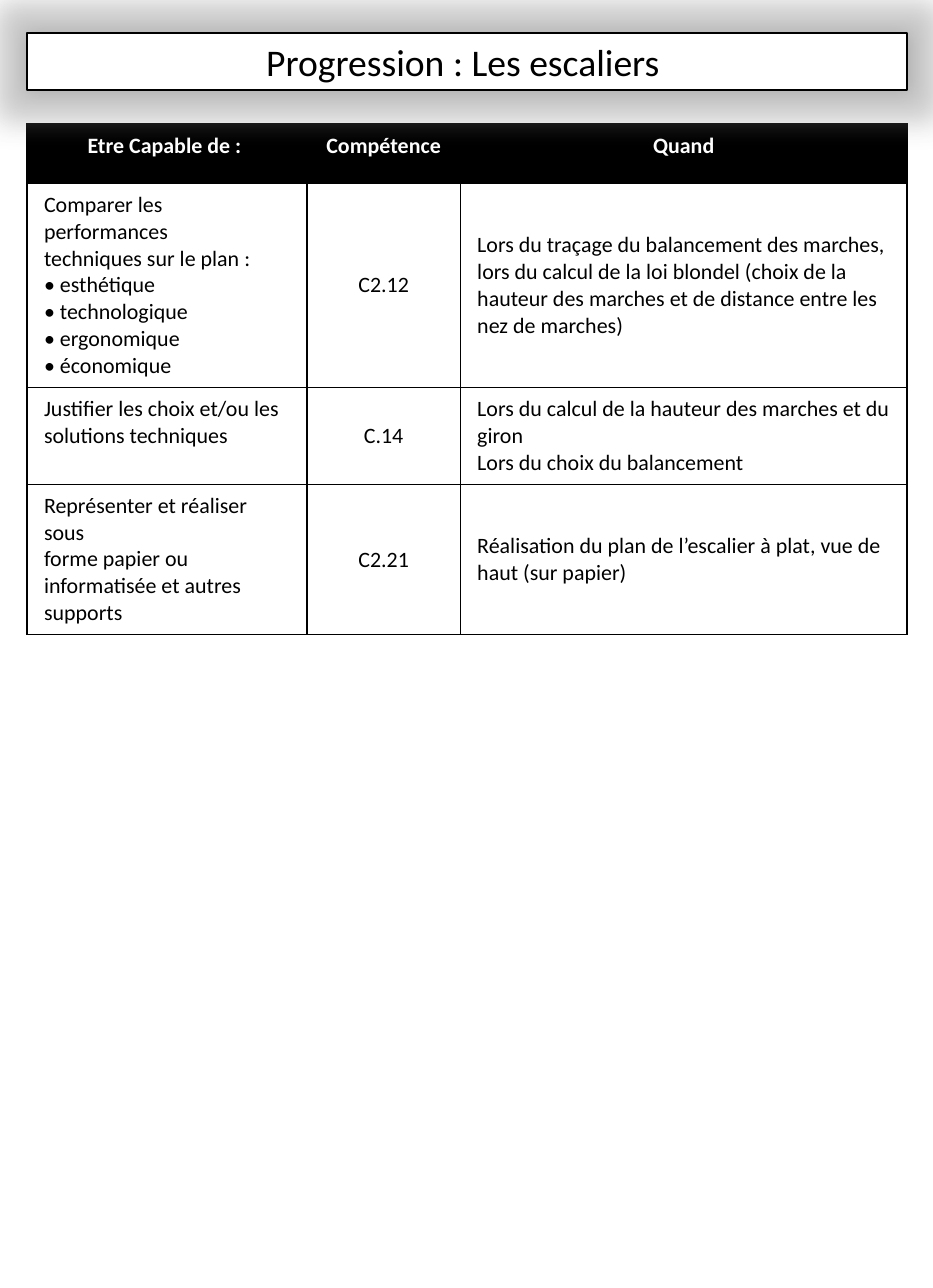
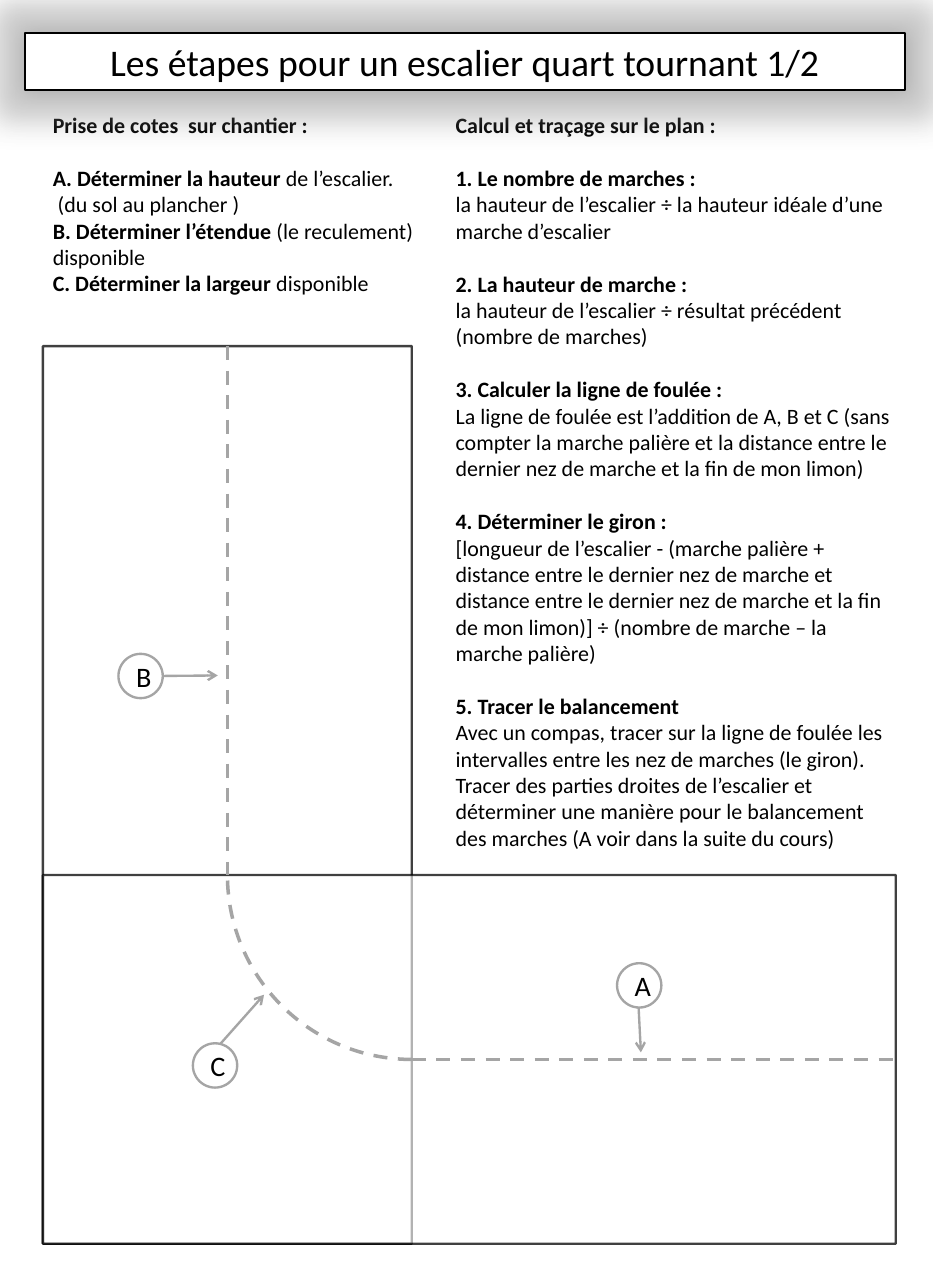
from dataclasses import dataclass

from lxml import etree
from pptx import Presentation
from pptx.dml.color import RGBColor as RGB
from pptx.enum.dml import MSO_LINE as DASH
from pptx.enum.shapes import MSO_CONNECTOR as LINE, MSO_SHAPE as SHAPE
from pptx.enum.text import MSO_ANCHOR as ANCHOR, PP_ALIGN as ALIGN
from pptx.oxml import parse_xml
from pptx.oxml.ns import nsdecls, qn
from pptx.util import Pt


@dataclass(frozen=True)
class Theme:
    font: str = "Calibri"
    black: RGB = RGB(0, 0, 0)
    white: RGB = RGB(255, 255, 255)
    grey: RGB = RGB(165, 165, 165)
    title: float = 24
    label: float = 18
    body: float = 14
    gap: float = 17


T = Theme()

EFFECTS = f"""<a:effectLst {nsdecls("a")}>
  <a:glow rad="{Pt(36)}"><a:srgbClr val="{T.grey}"><a:alpha val="40000"/></a:srgbClr></a:glow>
  <a:outerShdw blurRad="{Pt(12)}" algn="ctr" rotWithShape="0">
    <a:srgbClr val="{T.black}"><a:alpha val="30000"/></a:srgbClr></a:outerShdw>
</a:effectLst>"""


def write(tf, *groups, size=T.body, color=T.black, bold=False,
          align=ALIGN.LEFT, anchor=ANCHOR.TOP):
    """Fill a text frame with groups of paragraphs set apart by a gap; ** toggles bold."""
    tf.word_wrap = True
    tf.vertical_anchor = anchor
    p = None
    for g, group in enumerate(groups):
        for i, text in enumerate(group):
            p = tf.add_paragraph() if p else tf.paragraphs[0]
            p.alignment = align
            p.space_before = Pt(T.gap if g and not i else 0)
            for n, part in enumerate(text.split("**")):
                if part:
                    r = p.add_run()
                    r.text = part
                    r.font.name, r.font.size = T.font, Pt(size)
                    r.font.color.rgb = color
                    r.font.bold = bold or n % 2 == 1


def style_line(line, color, width, dash=None, arrow=False):
    line.color.rgb = color
    line.width = Pt(width)
    if dash:
        line.dash_style = dash
    if arrow:
        ln = line._get_or_add_ln()
        etree.SubElement(ln, qn("a:tailEnd"), type="arrow")


prs = Presentation()
prs.slide_width, prs.slide_height = Pt(595.4), Pt(822.2)

# Slides and their title bands
slides = []
for left, heading in [(17.3, "Progression : Les escaliers "),
                      (15.8, "Les étapes pour un escalier quart tournant 1/2")]:
    s = prs.slides.add_slide(prs.slide_layouts[5])
    title = s.shapes.title
    title.left, title.top, title.width, title.height = Pt(left), Pt(21), Pt(561.6), Pt(36.4)
    title.fill.solid()
    title.fill.fore_color.rgb = T.white
    style_line(title.line, T.black, 1)
    title.element.spPr.append(parse_xml(EFFECTS))
    write(title.text_frame, [heading], size=T.title, align=ALIGN.CENTER, anchor=ANCHOR.MIDDLE)
    slides.append(s)
progression, steps = slides

# Slide 1: skills table
rows = [
    (["Etre Capable de : "], ["Compétence"], ["Quand"]),
    (["Comparer les performances", "techniques sur le plan :", "• esthétique",
      "• technologique", "• ergonomique", "• économique"],
     ["C2.12"],
     ["Lors du traçage du balancement des marches, lors du calcul de la loi blondel "
      "(choix de la hauteur des marches et de distance entre les nez de marches)"]),
    (["Justifier les choix et/ou les", "solutions techniques"],
     ["C.14"],
     ["Lors du calcul de la hauteur des marches et du giron", "Lors du choix du balancement"]),
    (["Représenter et réaliser sous", "forme papier ou", "informatisée et autres", "supports"],
     ["C2.21"],
     ["Réalisation du plan de l’escalier à plat, vue de haut (sur papier)"]),
]
table = progression.shapes.add_table(4, 3, Pt(17.3), Pt(79.2), Pt(561.6), Pt(323.3)).table
table.horz_banding = False
for col, width in zip(table.columns, (178.6, 97.9, 285.1)):
    col.width = Pt(width)
for row, height in zip(table.rows, (38, 105, 42, 79)):
    row.height = Pt(height)
for y, row in enumerate(rows):
    for x, lines in enumerate(row):
        cell = table.cell(y, x)
        header = y == 0
        cell.margin_left = cell.margin_right = Pt(10.8)
        cell.margin_top = cell.margin_bottom = Pt(5.4)
        tcPr = cell._tc.get_or_add_tcPr()
        for side in ("lnL", "lnR", "lnT", "lnB"):
            tcPr.append(parse_xml(
                f'<a:{side} {nsdecls("a")} w="{Pt(1)}"><a:solidFill>'
                f'<a:srgbClr val="{T.black}"/></a:solidFill></a:{side}>'))
        if header:
            cell.fill.solid()
            cell.fill.fore_color.rgb = T.black
        else:
            cell.fill.background()
        write(cell.text_frame, lines, bold=header,
              color=T.white if header else T.black,
              align=ALIGN.CENTER if header or x == 1 else ALIGN.LEFT)
        cell.vertical_anchor = ANCHOR.TOP if header or x == 0 else ANCHOR.MIDDLE

# Slide 2: instructions
site = [
    ["**Prise de cotes  sur chantier :**"],
    ["**A. Déterminer la hauteur **de l’escalier.", " (du sol au plancher )",
     "**B. Déterminer l’étendue **(le reculement) disponible",
     "**C. Déterminer la largeur **disponible"],
]
plan = [
    ["**Calcul et traçage sur le plan :**"],
    ["**1. Le nombre de marches :**",
     "la hauteur de l’escalier ÷ la hauteur idéale d’une marche d’escalier"],
    ["**2. La hauteur de marche :**",
     "la hauteur de l’escalier ÷ résultat précédent (nombre de marches)"],
    ["**3. Calculer la ligne de foulée :**",
     "La ligne de foulée est l’addition de A, B et C (sans compter la marche palière et la "
     "distance entre le dernier nez de marche et la fin de mon limon)"],
    ["**4. Déterminer le giron :**",
     "[longueur de l’escalier - (marche palière + distance entre le dernier nez de marche et "
     "distance entre le dernier nez de marche et la fin de mon limon)] ÷ (nombre de marche – "
     "la marche palière)"],
    ["**5. Tracer le balancement**",
     "Avec un compas, tracer sur la ligne de foulée les intervalles entre les nez de marches "
     "(le giron). Tracer des parties droites de l’escalier et déterminer une manière pour le "
     "balancement des marches (A voir dans la suite du cours)"],
]
for left, width, height, groups in [(26.6, 257.8, 126, site), (283.7, 292.3, 499, plan)]:
    box = steps.shapes.add_textbox(Pt(left), Pt(67.7), Pt(width), Pt(height))
    write(box.text_frame, *groups)

# The title glow lies over the table and the instructions
for s in slides:
    title = s.shapes.title.element
    title.getparent().append(title)

# Slide 2: stair plan, two flights meeting in a square corner
left, top, corner, side = 27.4, 221, 558.6, 235.4
right, bottom = 571.7, corner + side
mid_x, mid_y = left + side / 2, corner + side / 2
for y, width, height in [(top, side, bottom - top), (corner, right - left, side)]:
    flight = steps.shapes.add_shape(SHAPE.RECTANGLE, Pt(left), Pt(y), Pt(width), Pt(height))
    flight.shadow.inherit = False
    flight.fill.solid()
    flight.fill.fore_color.rgb = T.white
    style_line(flight.line, T.black, 1.5)
    for color, alpha in zip(flight.element.spPr.iter(qn("a:srgbClr")), ("60000", "75000")):
        etree.SubElement(color, qn("a:alpha"), val=alpha)

turn = steps.shapes.add_shape(SHAPE.ARC, Pt(mid_x), Pt(corner - side / 2), Pt(side), Pt(side))
turn.rotation = 180
turn.adjustments[0], turn.adjustments[1] = 162, 215.24
turn.shadow.inherit = False
turn.fill.background()
style_line(turn.line, T.grey, 2.25, DASH.DASH)

walk_lines = [(mid_x, top, mid_x, corner), (left + side, mid_y, right, mid_y)]
arrows = [(407.5, 642.2, 409, 671.8), (103.7, 431.5, 139, 431.2), (139, 668.2, 168.5, 635)]
for ends in walk_lines + arrows:
    c = steps.shapes.add_connector(LINE.STRAIGHT, *map(Pt, ends))
    etree.SubElement(c.element.spPr, qn("a:effectLst"))
    if ends in arrows:
        style_line(c.line, T.grey, 1.5, arrow=True)
    else:
        style_line(c.line, T.grey, 2.25, DASH.DASH)

for letter, x, y in [("A", 393.8, 614.9), ("B", 75.6, 417.4), ("C", 123.1, 666)]:
    badge = steps.shapes.add_shape(SHAPE.OVAL, Pt(x), Pt(y), Pt(28.3), Pt(28.3))
    badge.shadow.inherit = False
    badge.fill.solid()
    badge.fill.fore_color.rgb = T.white
    style_line(badge.line, T.grey, 1.5)
    write(badge.text_frame, [letter], size=T.label, align=ALIGN.CENTER, anchor=ANCHOR.MIDDLE)

prs.save("out.pptx")
